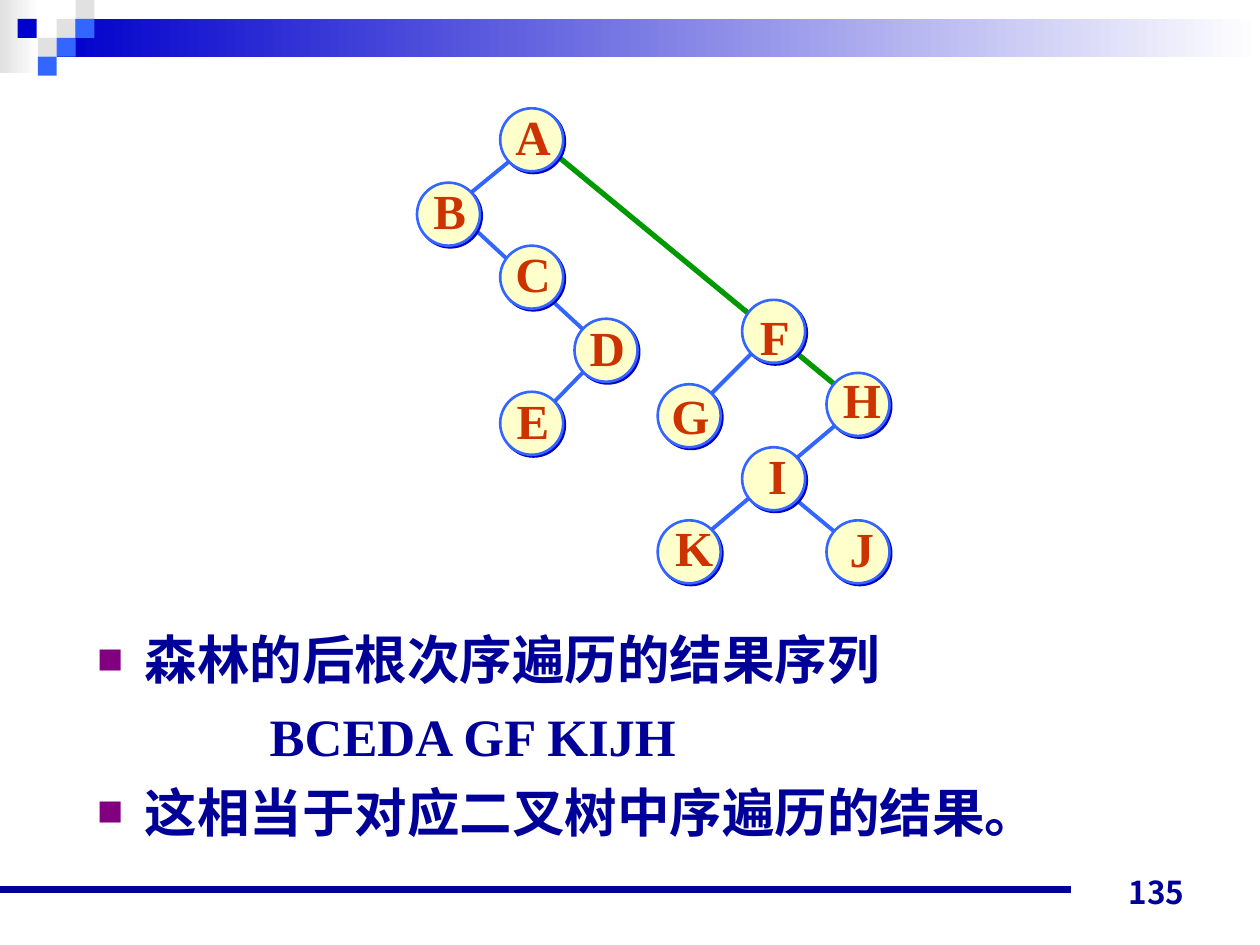
"""Build the slide on post-order traversal of a forest."""
from lxml.etree import SubElement
from pptx import Presentation
from pptx.dml.color import RGBColor
from pptx.enum.shapes import MSO_CONNECTOR, MSO_SHAPE
from pptx.enum.text import MSO_ANCHOR, MSO_AUTO_SIZE, PP_ALIGN
from pptx.oxml.ns import qn
from pptx.util import Inches, Pt

HUES = {
    "navy": "000099", "deep": "0000CC", "blue": "3366FF", "gray": "E1E1E1",
    "white": "FFFFFF", "cream": "FFFFCC", "red": "CC3300", "green": "009900",
    "plum": "800080",
}
SERIF = "Times New Roman"
SANS = "Noto Sans CJK JP"
SIZE = 0.5
TILE = 0.15

TILES = [
    (0.45, 0.15, "gray"), (0.6, 0, "gray"), (0.6, 0.15, "blue"),
    (0.3, 0.3, "gray"), (0.14, 0.15, "deep"), (0.45, 0.3, "blue"),
    (0.3, 0.45, "blue"),
]
EDGES = [
    (4.39, 1.21, 6.72, 3.13, "green", 3),
    (4.72, 2.86, 4.31, 3.28, "blue", 2.25),
    (3.64, 1.7, 4.72, 2.7, "blue", 2.25),
    (4.14, 1.2, 3.64, 1.61, "blue", 2.25),
    (6.31, 3.96, 6.72, 4.3, "blue", 2.25),
    (6.72, 3.3, 5.64, 4.21, "blue", 2.25),
    (6.06, 2.71, 5.56, 3.21, "blue", 2.25),
]
# Letter, left and top of the circle, then the shift of the letter's centre.
NODES = [
    ("A", 3.97, 0.86, 0.01, -0.03), ("B", 3.31, 1.45, 0.01, -0.03),
    ("C", 3.97, 1.95, 0.01, -0.03), ("D", 4.56, 2.53, 0.01, -0.03),
    ("E", 3.97, 3.11, 0.01, -0.03), ("F", 5.89, 2.38, 0.01, 0.04),
    ("G", 5.22, 3.05, 0.01, -0.01), ("H", 6.56, 2.96, 0.03, -0.04),
    ("I", 5.89, 3.55, 0.03, -0.03), ("J", 6.56, 4.13, 0.03, -0.03),
    ("K", 5.22, 4.13, 0.04, -0.04),
]
LINES = [
    ("森林的后根次序遍历的结果序列", True),
    ("BCEDA GF KIJH", False),
    ("这相当于对应二叉树中序遍历的结果。", True),
]


def tint(name):
    """Return the named colour."""
    return RGBColor.from_string(HUES[name])


def write(para, text, size=28, font=SERIF, hue="navy", align=None):
    """Put bold text in a paragraph."""
    para.alignment = align
    run = para.add_run()
    run.text = text
    run.font.size = Pt(size)
    run.font.name = font
    run.font.bold = True
    run.font.color.rgb = tint(hue)


def label(slide, box, text, anchor=MSO_ANCHOR.MIDDLE, wrap=False, **form):
    """Add a text box with one line."""
    frame = slide.shapes.add_textbox(*map(Inches, box)).text_frame
    frame.word_wrap = wrap
    frame.vertical_anchor = anchor
    write(frame.paragraphs[0], text, **form)


def block(slide, box, hue, fade=False):
    """Add a plain rectangle, fading to white on request."""
    rect = slide.shapes.add_shape(MSO_SHAPE.RECTANGLE, *map(Inches, box))
    rect.shadow.inherit = False
    rect.line.fill.background()
    if fade:
        rect.fill.gradient()
        rect.fill.gradient_angle = 0
        for stop, name in zip(rect.fill.gradient_stops, (hue, "white")):
            stop.color.rgb = tint(name)
    else:
        rect.fill.solid()
        rect.fill.fore_color.rgb = tint(hue)


def edge(slide, left, top, right, low, hue, width):
    """Add a straight line."""
    ends = map(Inches, (left, top, right, low))
    line = slide.shapes.add_connector(MSO_CONNECTOR.STRAIGHT, *ends)
    line.line.color.rgb = tint(hue)
    line.line.width = Pt(width)
    SubElement(line._element.spPr, qn("a:effectLst"))


def node(slide, text, left, top, right, down):
    """Add a tree node with a hard shadow and its letter."""
    box = map(Inches, (left, top, SIZE, SIZE))
    disc = slide.shapes.add_shape(MSO_SHAPE.OVAL, *box)
    disc.fill.solid()
    disc.fill.fore_color.rgb = tint("cream")
    disc.line.color.rgb = tint("blue")
    disc.line.width = Pt(1.5)
    disc.shadow.inherit = False
    cast = SubElement(
        disc._element.spPr.find(qn("a:effectLst")), qn("a:outerShdw"),
        blurRad="0", dist=str(Pt(1.4)), dir="2700000", algn="ctr",
        rotWithShape="0")
    SubElement(cast, qn("a:srgbClr"), val=HUES["deep"])
    high = 0.57
    spot = (left + right, top + down + (SIZE - high) / 2, SIZE, high)
    label(slide, spot, text, hue="red", align=PP_ALIGN.CENTER)


def indent(para, mark):
    """Set a square bullet, or a deep indent without one."""
    props = para._p.get_or_add_pPr()
    props.set("marL", str(Inches(0.38 if mark else 1.37)))
    props.set("indent", str(Inches(-0.38 if mark else 0)))
    if not mark:
        SubElement(props, qn("a:buNone"))
        return
    hue = SubElement(props, qn("a:buClr"))
    SubElement(hue, qn("a:srgbClr"), val=HUES["plum"])
    SubElement(props, qn("a:buSzPct"), val="50000")
    SubElement(props, qn("a:buFont"), typeface=SANS)
    SubElement(props, qn("a:buChar"), char="■")


def body(slide):
    """Fill the body placeholder with the results."""
    hold = slide.placeholders[1]
    hold.left, hold.top, hold.width, hold.height = map(
        Inches, (0.67, 4.93, 9, 2.05))
    frame = hold.text_frame
    frame.auto_size = MSO_AUTO_SIZE.NONE
    for num, (text, mark) in enumerate(LINES):
        para = frame.add_paragraph() if num else frame.paragraphs[0]
        indent(para, mark)
        para.space_before = Pt(7.5 if num else 0)
        write(para, text, size=30)


def main():
    """Build and save the slide."""
    deck = Presentation()
    deck.slide_width, deck.slide_height = Inches(10), Inches(7.5)
    slide = deck.slides.add_slide(deck.slide_layouts[1])
    title = slide.shapes.title._element
    title.getparent().remove(title)

    block(slide, (0, 0, 0.31, 0.58), "gray", fade=True)
    block(slide, (0.45, 0.15, 9.55, 0.3), "deep", fade=True)
    for left, top, hue in TILES:
        block(slide, (left, top, TILE, TILE), hue)
    edge(slide, 0, 7.06, 8.5, 7.06, "navy", 4.5)
    label(slide, (7.17, 6.78, 2.33, 0.5), "135", anchor=MSO_ANCHOR.BOTTOM,
          wrap=True, size=18, font=SANS, align=PP_ALIGN.RIGHT)

    for item in EDGES:
        edge(slide, *item)
    for item in NODES:
        node(slide, *item)
    body(slide)
    deck.save("out.pptx")


if __name__ == "__main__":
    main()
